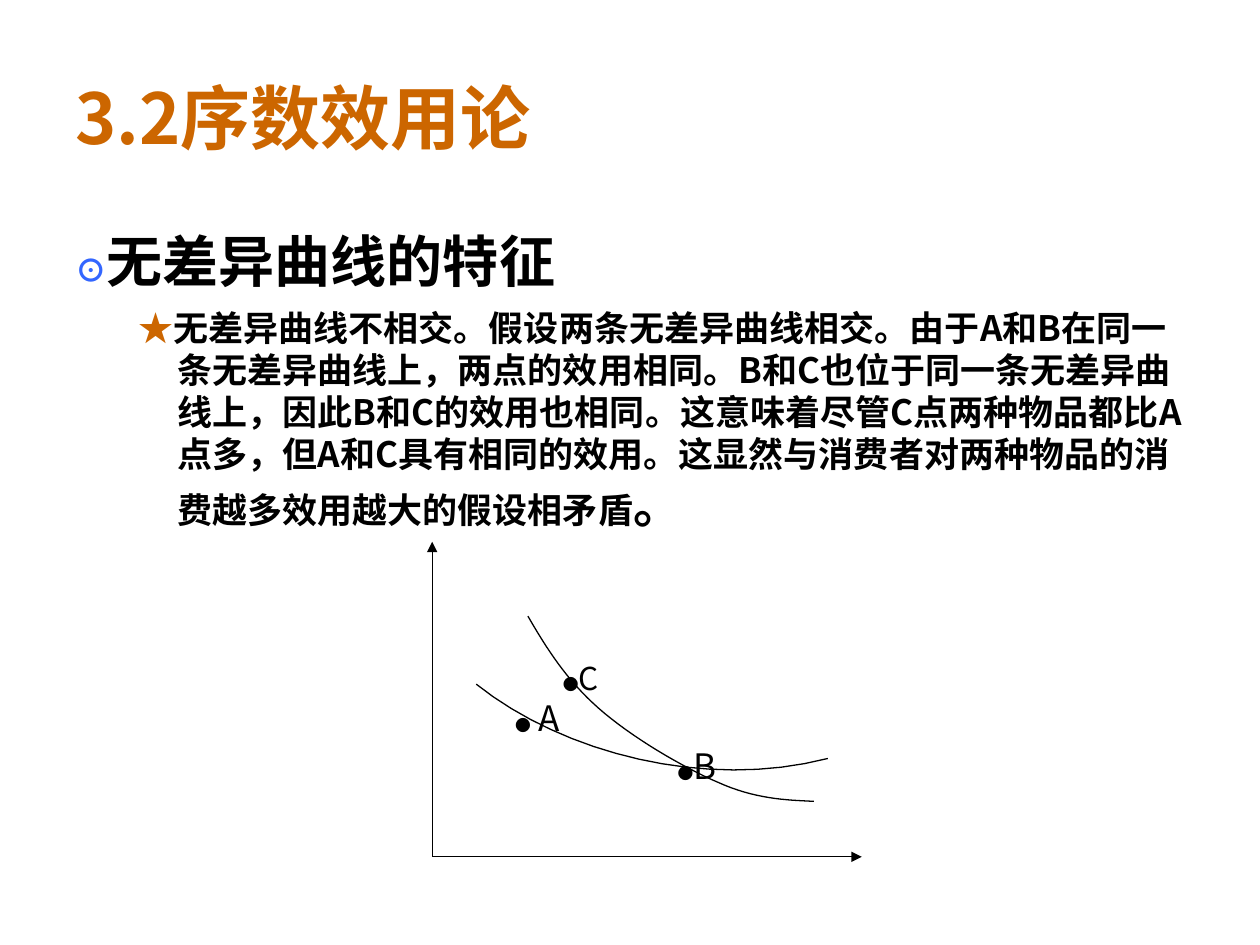
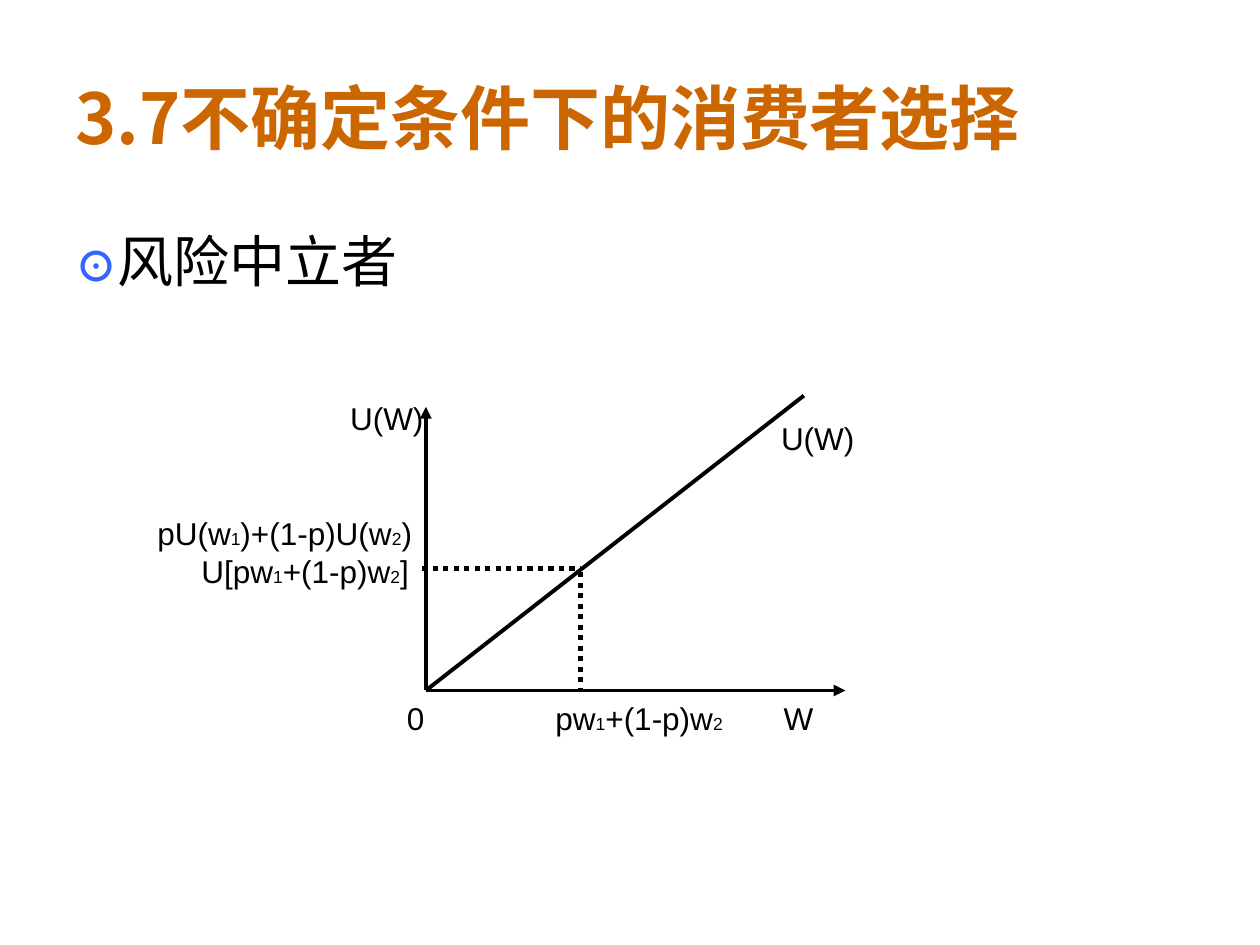
from dataclasses import dataclass

from lxml.etree import SubElement
from pptx import Presentation
from pptx.dml.color import RGBColor
from pptx.enum.dml import MSO_LINE
from pptx.enum.shapes import MSO_CONNECTOR
from pptx.enum.text import MSO_ANCHOR
from pptx.oxml.ns import qn
from pptx.util import Inches, Pt


@dataclass(frozen=True)
class Theme:
    accent: RGBColor = RGBColor(0xCC, 0x66, 0x00)
    marker: RGBColor = RGBColor(0x33, 0x66, 0xFF)
    ink: RGBColor = RGBColor(0, 0, 0)
    cjk: str = "Noto Sans CJK SC"
    latin: str = "Arial"
    title: int = 40
    heading: int = 32
    full_stop: int = 28
    big_marker: int = 24
    detail: int = 20
    label: int = 18
    subscript: int = 10
    dot: int = 9
    thin: float = 0.75
    axis: float = 2.25
    dotted: float = 3


theme = Theme()


def add_text(page, area, paragraphs, font, anchor=MSO_ANCHOR.TOP, wrap=True):
    box = page.shapes.add_textbox(*[Inches(value) for value in area])
    frame = box.text_frame
    frame.word_wrap = wrap
    frame.vertical_anchor = anchor
    for index, (left, hanging, before, spans) in enumerate(paragraphs):
        para = frame.paragraphs[0] if index == 0 else frame.add_paragraph()
        properties = para._p.get_or_add_pPr()
        properties.set("marL", str(Inches(left)))
        properties.set("indent", str(Inches(-hanging)))
        if before:
            para.space_before = Pt(before)
        for text, size, color, bold in spans:
            span = para.add_run()
            span.text = text
            span.font.name = font
            span.font.size = Pt(size)
            span.font.color.rgb = color
            span.font.bold = bold
            east_asian = SubElement(span._r.get_or_add_rPr(), qn("a:ea"))
            east_asian.set("typeface", theme.cjk)


def add_line(page, start, end, width, arrow=False, dash=None):
    line = page.shapes.add_connector(
        MSO_CONNECTOR.STRAIGHT, *[Inches(value) for value in (*start, *end)])
    line.line.color.rgb = theme.ink
    line.line.width = Pt(width)
    if dash:
        line.line.dash_style = dash
    if arrow:
        SubElement(line.line._get_or_add_ln(), qn("a:tailEnd")).set("type", "triangle")
    SubElement(line._element.spPr, qn("a:effectLst"))


deck = Presentation()
deck.slide_width = Inches(10)
deck.slide_height = Inches(7.5)

explanation = (
    "无差异曲线不相交。假设两条无差异曲线相交。由于A和B在同一条无差异曲线上，"
    "两点的效用相同。B和C也位于同一条无差异曲线上，因此B和C的效用也相同。"
    "这意味着尽管C点两种物品都比A点多，但A和C具有相同的效用。"
    "这显然与消费者对两种物品的消费越多效用越大的假设相矛盾"
)
contents = [
    ("3.2序数效用论", theme.cjk, [
        (0.38, 0.38, 0, [
            ("⊙", theme.label, theme.marker, True),
            ("无差异曲线的特征", theme.heading, theme.ink, True)]),
        (0.81, 0.31, 7, [
            ("★", theme.detail, theme.accent, False),
            (explanation, theme.detail, theme.ink, True),
            ("。", theme.full_stop, theme.ink, True)]),
    ]),
    ("3.7不确定条件下的消费者选择", theme.latin, [
        (0.38, 0.38, 0, [
            ("⊙", theme.big_marker, theme.marker, True),
            ("风险中立者", theme.heading, theme.ink, False)]),
    ]),
]
pages = []
for title, body_font, body in contents:
    page = deck.slides.add_slide(deck.slide_layouts[6])
    title_spans = [(title, theme.title, theme.accent, True)]
    add_text(page, (0.5, 0.3, 9, 1.25), [(0, 0, 0, title_spans)],
             theme.cjk, MSO_ANCHOR.MIDDLE)
    add_text(page, (0.5, 1.75, 9, 4.95), body, body_font)
    pages.append(page)
crossing_page, neutral_page = pages

origin = (3.43, 6.8)
for axis_end in [(3.43, 4.3), (6.84, 6.8)]:
    add_line(crossing_page, origin, axis_end, theme.thin, arrow=True)

steps = 16
indifference_curves = [
    [[(4.19, 4.89), (4.34, 5.15), (4.5, 5.4), (4.75, 5.62)],
     [(4.75, 5.62), (5.01, 5.85), (5.42, 6.09), (5.7, 6.21)],
     [(5.7, 6.21), (5.99, 6.34), (6.23, 6.35), (6.46, 6.36)]],
    [[(3.78, 5.43), (4.47, 5.98), (5.6, 6.27), (6.57, 6.02)]],
]
for segments in indifference_curves:
    points = []
    for segment in segments:
        for step in range(1, steps + 1):
            t = step / steps
            weights = ((1 - t) ** 3, 3 * t * (1 - t) ** 2, 3 * t ** 2 * (1 - t), t ** 3)
            points.append([
                Inches(sum(weight * value for weight, value in zip(weights, values)))
                for values in zip(*segment)])
    start_x, start_y = segments[0][0]
    builder = crossing_page.shapes.build_freeform(Inches(start_x), Inches(start_y))
    builder.add_line_segments(points, close=False)
    curve = builder.convert_to_shape()
    curve.shadow.inherit = False
    curve.fill.background()
    curve.line.color.rgb = theme.ink
    curve.line.width = Pt(theme.thin)

for name, size, left, top, height in [
    ("C", theme.label, 4.37, 5.18, 0.44),
    (" A", theme.detail, 3.99, 5.48, 0.44),
    ("B", theme.detail, 5.28, 5.86, 0.59),
]:
    spans = [("●", theme.dot, theme.ink, False), (name, size, theme.ink, False)]
    add_text(crossing_page, (left, top, 0.76, height), [(0, 0, 0, spans)], theme.cjk)

origin = (3.38, 5.48)
for end, arrow in [((6.71, 5.48), True), ((3.38, 3.23), True), ((6.38, 3.14), False)]:
    add_line(neutral_page, origin, end, theme.axis, arrow)
for start, end in [((3.35, 4.51), (4.61, 4.51)), ((4.61, 4.54), (4.61, 5.48))]:
    add_line(neutral_page, start, end, theme.dotted, dash=MSO_LINE.ROUND_DOT)

for left, top, width, pieces in [
    (2.68, 3.12, 0.78, ["U(W)"]),
    (6.1, 3.28, 0.78, ["U(W)"]),
    (1.15, 4.03, 2.25, ["pU(w", "1", ")+(1-p)U(w", "2", ")"]),
    (1.5, 4.33, 1.9, ["U[pw", "1", "+(1-p)w", "2", "]"]),
    (3.13, 5.5, 0.35, ["0"]),
    (4.31, 5.5, 1.55, ["pw", "1", "+(1-p)w", "2"]),
    (6.12, 5.5, 0.45, ["W"]),
]:
    spans = [(piece, theme.subscript if index % 2 else theme.label, theme.ink, False)
             for index, piece in enumerate(pieces)]
    add_text(neutral_page, (left, top, width, 0.4), [(0, 0, 0, spans)],
             theme.latin, wrap=False)

deck.save("out.pptx")
